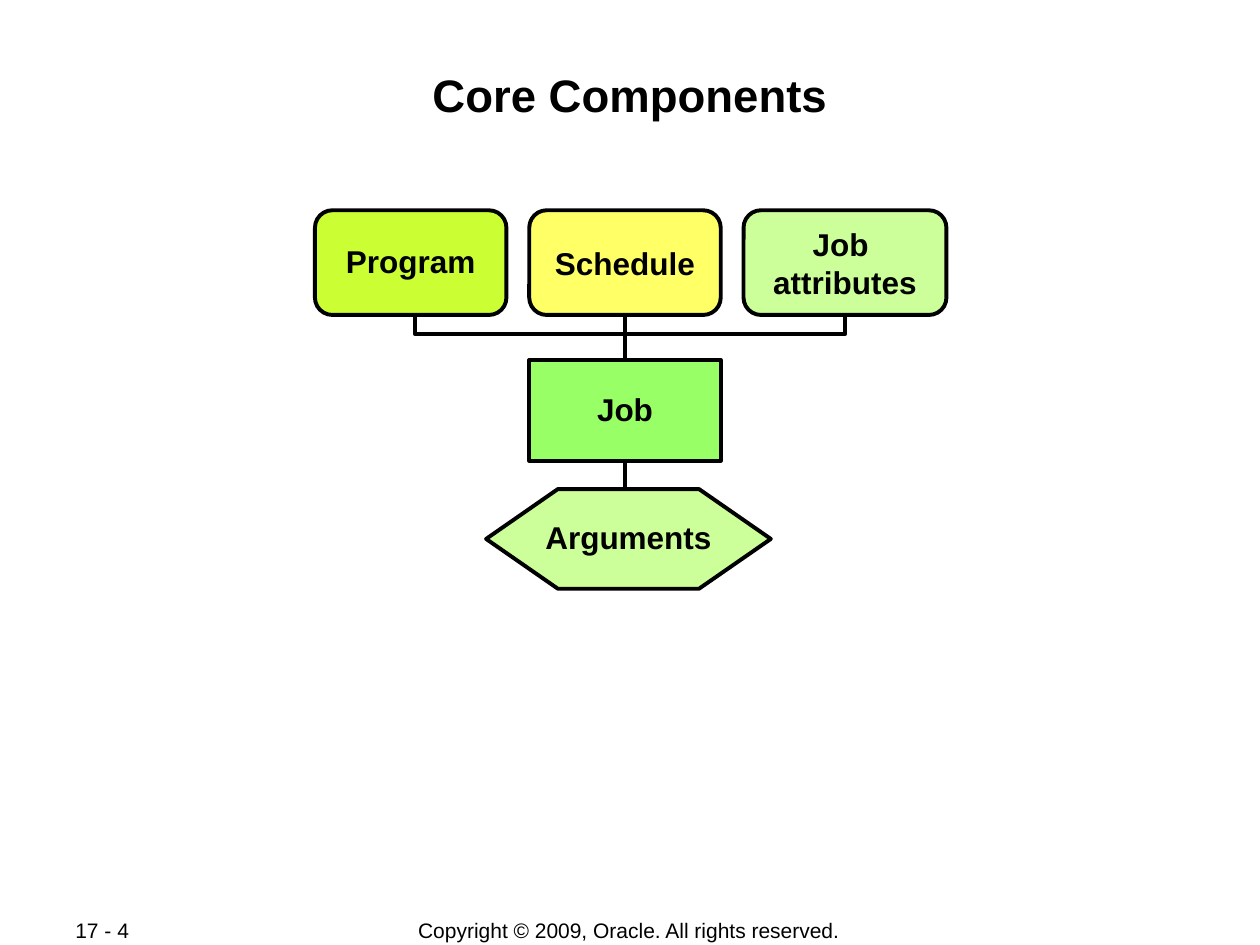
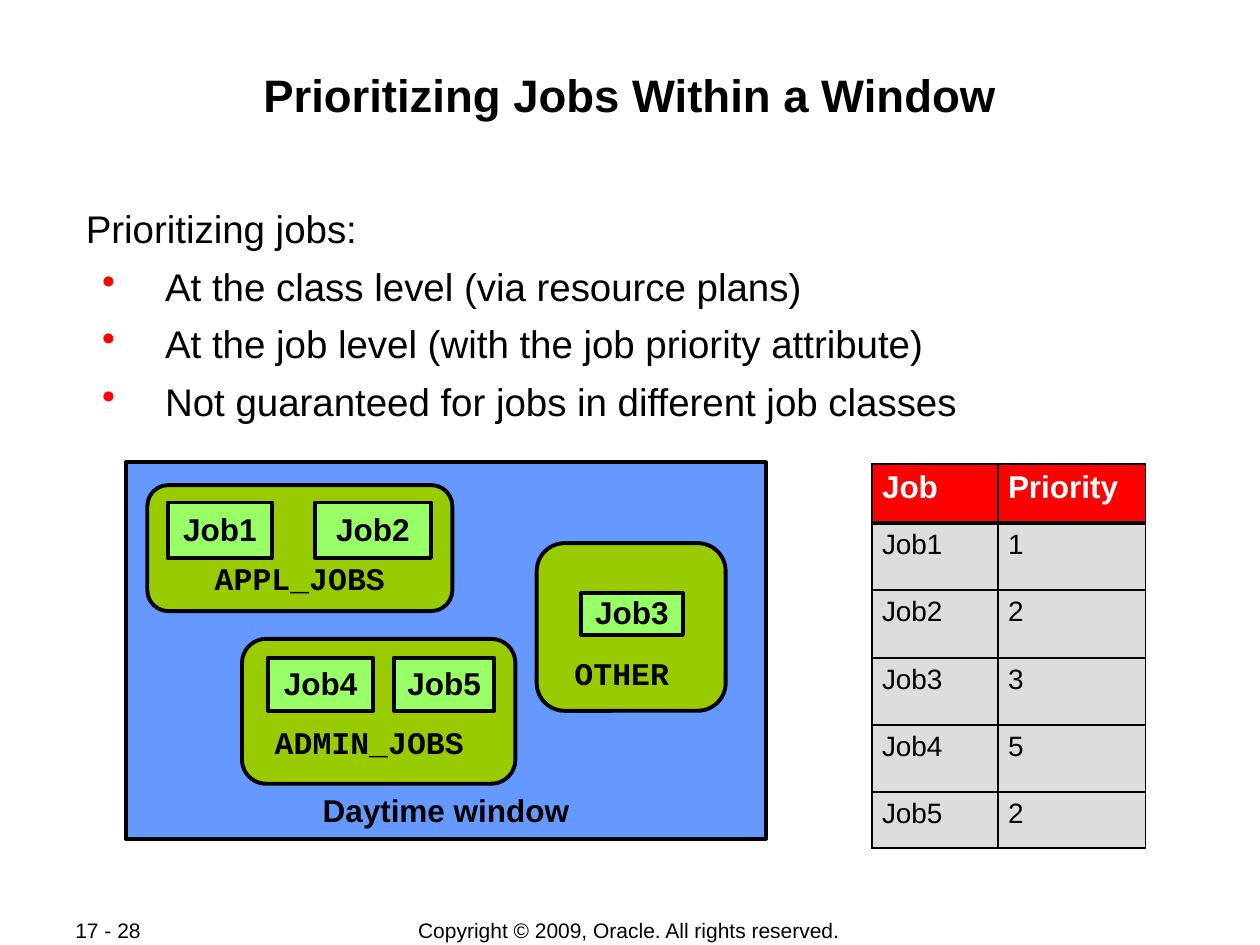
from dataclasses import dataclass

from lxml import etree
from pptx import Presentation
from pptx import util as u
from pptx.dml.color import RGBColor
from pptx.enum import shapes, text
from pptx.oxml import ns

Cm, Pt = u.Cm, u.Pt
SHAPE = shapes.MSO_SHAPE
ALIGN = text.PP_ALIGN
ANCHOR = text.MSO_ANCHOR


@dataclass(frozen=True)
class Theme:
    sans: str = "Arial"
    mono: str = "Courier New"
    ink: str = "000000"
    white: str = "FFFFFF"
    red: str = "FF0000"
    lime: str = "CCFF33"
    yellow: str = "FFFF66"
    pale_green: str = "CCFF99"
    job_green: str = "99FF66"
    class_green: str = "99CC00"
    blue: str = "6699FF"
    grey: str = "DDDDDD"
    title: float = 26
    body: float = 22
    label: float = 18
    cell: float = 16
    footer: float = 12
    line: float = 2.25
    grid: float = 1.08


T = Theme()
COPYRIGHT = "Copyright © 2009, Oracle. All rights reserved."


def rgb(value):
    return RGBColor.from_string(value)


def set_attrs(obj, **values):
    for name, value in values.items():
        setattr(obj, name, value)


def add_xml(parent, tag, **attrs):
    return etree.SubElement(parent, ns.qn(tag), attrs)


def style(p, size, color=T.ink, font=T.sans, bold=False):
    set_attrs(p.font, name=font, size=Pt(size), bold=bold)
    p.font.color.rgb = rgb(color)


def set_frame(tf, x_inset, top, bottom, anchor, wrap):
    set_attrs(tf, margin_left=Cm(x_inset), margin_right=Cm(x_inset),
              margin_top=Cm(top), margin_bottom=Cm(bottom),
              vertical_anchor=anchor, word_wrap=wrap)


def outline(line):
    line.width = Pt(T.line)
    line.color.rgb = rgb(T.ink)


def text_box(s, box, content, size, align=ALIGN.LEFT, bold=False,
             x_inset=0.03, top=0.13, anchor=ANCHOR.TOP):
    tf = s.shapes.add_textbox(*map(Cm, box)).text_frame
    set_frame(tf, x_inset, top, 0, anchor, True)
    p = tf.paragraphs[0]
    p.text = content
    p.alignment = align
    style(p, size, bold=bold)
    return tf


def add_slide(prs, title, page):
    s = prs.slides.add_slide(prs.slide_layouts[6])
    footer = dict(size=T.footer, x_inset=0.25, top=0, anchor=ANCHOR.MIDDLE)
    text_box(s, (6.98, 18.49, 11.4, 0.53), COPYRIGHT, align=ALIGN.CENTER, **footer)
    text_box(s, (1.27, 18.49, 2.69, 0.51), page, **footer)
    text_box(s, (1.7, 1.22, 22, 2.44), title, T.title, ALIGN.CENTER, True)
    return s


def node(s, kind, box, label, fill, font=T.sans, spacing=0.95,
         anchor=ANCHOR.MIDDLE, bottom=0.13):
    sp = s.shapes.add_shape(kind, *map(Cm, box))
    sp.shadow.inherit = False
    sp.fill.solid()
    sp.fill.fore_color.rgb = rgb(fill)
    outline(sp.line)
    set_frame(sp.text_frame, 0.13, 0.13, bottom, anchor, False)
    p = sp.text_frame.paragraphs[0]
    p.text = label
    set_attrs(p, alignment=ALIGN.CENTER, line_spacing=spacing)
    style(p, T.label, font=font, bold=True)
    return sp


def vertical_line(s, x, top, bottom):
    c = s.shapes.add_connector(shapes.MSO_CONNECTOR.STRAIGHT,
                               Cm(x), Cm(top), Cm(x), Cm(bottom))
    outline(c.line)
    add_xml(c._element.spPr, "a:effectLst")


def bracket(s, left, right, top, bottom):
    fb = s.shapes.build_freeform(Cm(left), Cm(top))
    fb.add_line_segments([(Cm(left), Cm(bottom)), (Cm(right), Cm(bottom)),
                          (Cm(right), Cm(top))], close=False)
    sp = fb.convert_to_shape()
    sp.shadow.inherit = False
    sp.fill.background()
    outline(sp.line)


def bullet_list(tf, items):
    for item in items:
        p = tf.add_paragraph()
        p.text = item
        set_attrs(p, level=1, space_before=Pt(6.5))
        pPr = p._p.get_or_add_pPr()
        pPr.set("marL", str(Cm(1.6)))
        pPr.set("indent", str(Cm(-1.27)))
        add_xml(add_xml(pPr, "a:buClr"), "a:srgbClr", val=T.red)
        add_xml(pPr, "a:buChar", char="•")
        style(p, T.body)


def cell_borders(cell, **widths):
    tcPr = cell._tc.get_or_add_tcPr()
    for side, width in widths.items():
        ln = add_xml(tcPr, f"a:ln{side}", w=str(Pt(width)))
        add_xml(add_xml(ln, "a:solidFill"), "a:srgbClr", val=T.ink)


def priority_table(s, left, top, widths, heights, rows):
    frame = s.shapes.add_table(len(rows), len(widths), Cm(left), Cm(top),
                               Cm(sum(widths)), Cm(sum(heights)))
    table = frame.table
    set_attrs(table, first_row=False, horz_banding=False)
    for column, width in zip(table.columns, widths):
        column.width = Cm(width)
    for i, (row, height, values) in enumerate(zip(table.rows, heights, rows)):
        row.height = Cm(height)
        header = i == 0
        for cell, value in zip(row.cells, values):
            cell_borders(cell, L=T.grid, R=T.grid,
                         T=T.line if i == 1 else T.grid,
                         B=T.line if header else T.grid)
            cell.fill.solid()
            cell.fill.fore_color.rgb = rgb(T.red if header else T.grey)
            set_attrs(cell, margin_left=Cm(0.2), margin_right=Cm(0.2))
            p = cell.text_frame.paragraphs[0]
            p.text = value
            style(p, T.label if header else T.cell,
                  T.white if header else T.ink, bold=header)


def core_components(prs):
    s = add_slide(prs, "Core Components", "17 - 4")
    vertical_line(s, 12.6, 6.02, 7.67)
    vertical_line(s, 12.6, 9.25, 10.03)
    arguments = node(s, SHAPE.HEXAGON, (9.8, 9.86, 5.74, 2.01), "Arguments", T.pale_green)
    arguments.adjustments[0] = 0.72
    node(s, SHAPE.RECTANGLE, (10.67, 7.26, 3.86, 2.03), "Job", T.job_green)
    bracket(s, 8.36, 17.04, 5.74, 6.73)
    inputs = [("Program", 3.86, T.lime, 0.95),
              ("Schedule", 3.86, T.yellow, 1.0),
              ("Job \vattributes", 4.09, T.pale_green, 1.0)]
    for i, (label, width, fill, spacing) in enumerate(inputs):
        node(s, SHAPE.ROUNDED_RECTANGLE, (6.35 + 4.32 * i, 4.24, width, 2.11),
             label, fill, spacing=spacing)


def job_priorities(prs):
    s = add_slide(prs, "Prioritizing Jobs Within a Window", "17 - 28")
    tf = text_box(s, (1.7, 4.01, 22, 4.37), "Prioritizing jobs:", T.body)
    bullet_list(tf, ["At the class level (via resource plans)",
                     "At the job level (with the job priority attribute)",
                     "Not guaranteed for jobs in different job classes"])

    node(s, SHAPE.RECTANGLE, (2.54, 9.32, 12.9, 7.59), "Daytime window", T.blue,
         spacing=1.0, anchor=ANCHOR.BOTTOM, bottom=0.2)
    job_classes = [
        ("APPL_JOBS", (2.97, 9.78, 6.15, 2.54), 0.14,
         [("Job1", (3.38, 10.13, 2.11, 1.12)), ("Job2", (6.35, 10.13, 2.34, 1.12))]),
        ("ADMIN_JOBS ", (4.88, 12.88, 5.51, 2.92), 0.3,
         [("Job4", (5.41, 13.26, 2.11, 1.07)), ("Job5", (7.95, 13.26, 2.01, 1.07))]),
        ("OTHER ", (10.82, 10.95, 3.81, 3.38), 0.2,
         [("Job3", (11.71, 11.96, 2.06, 0.84))]),
    ]
    for name, box, bottom, jobs in job_classes:
        node(s, SHAPE.ROUNDED_RECTANGLE, box, name, T.class_green, font=T.mono,
             anchor=ANCHOR.BOTTOM, bottom=bottom)
        for job, job_box in jobs:
            node(s, SHAPE.RECTANGLE, job_box, job, T.job_green)

    priority_table(s, 17.58, 9.35, [2.54, 2.97], [1.19, 1.35, 1.37, 1.35, 1.35, 1.14],
                   [("Job", "Priority"), ("Job1", "1"), ("Job2", "2"),
                    ("Job3", "3"), ("Job4", "5"), ("Job5", "2")])


def main():
    prs = Presentation()
    set_attrs(prs, slide_width=Cm(25.4), slide_height=Cm(19.05))
    core_components(prs)
    job_priorities(prs)
    prs.save("out.pptx")


if __name__ == "__main__":
    main()
